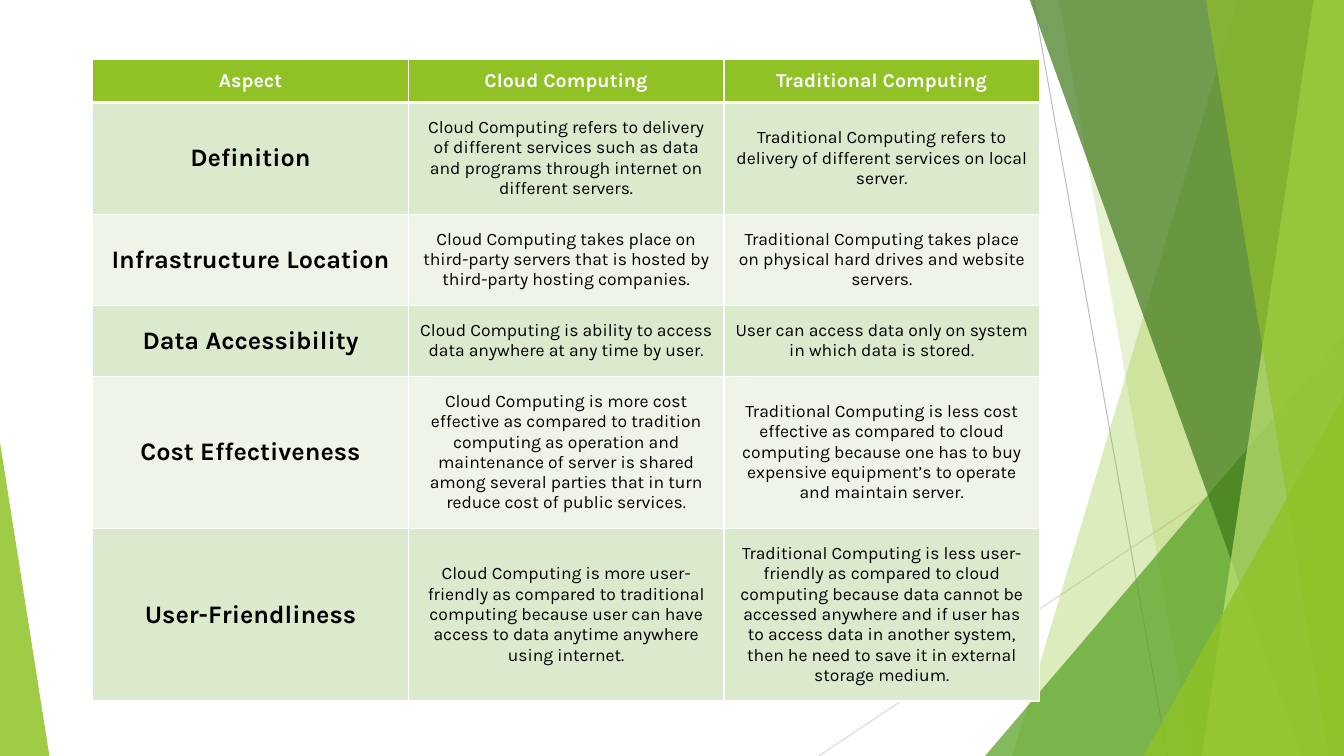
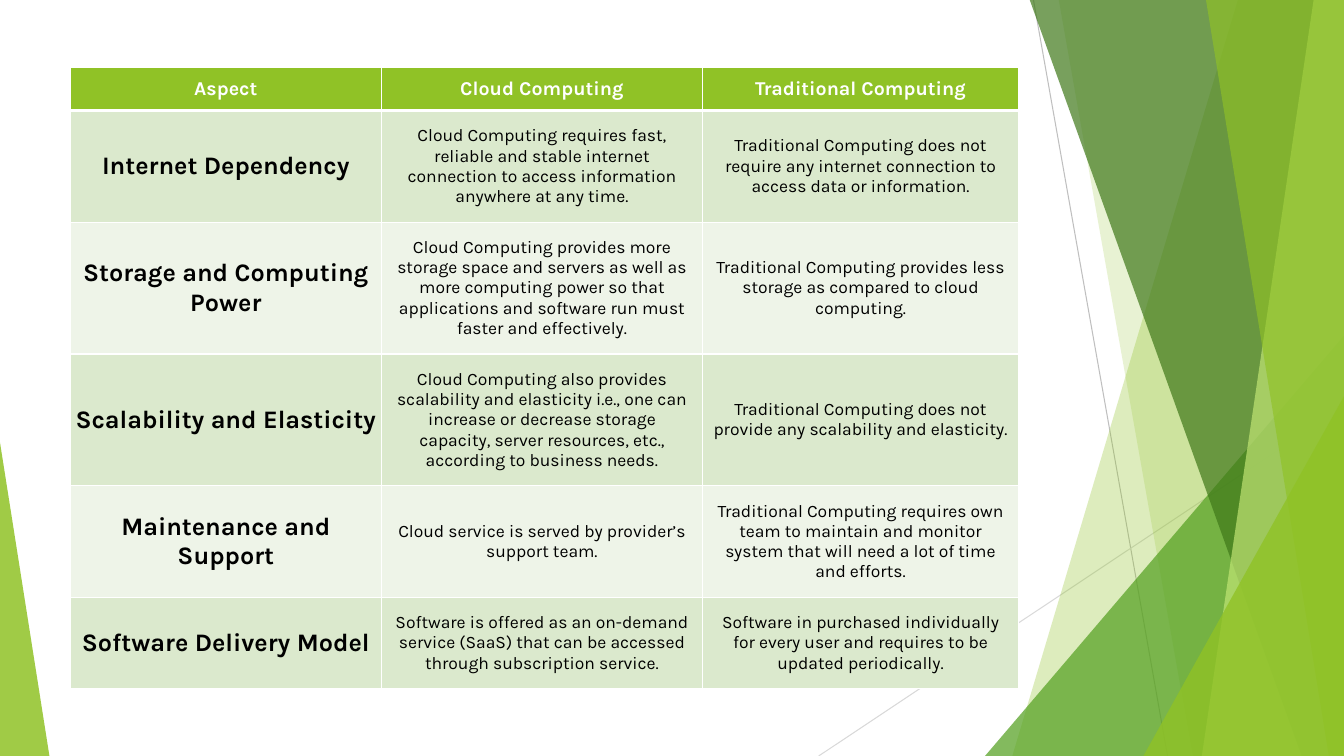
"""Build two slides comparing cloud computing with traditional computing."""
from dataclasses import dataclass

from lxml import etree
from pptx import Presentation
from pptx.dml.color import RGBColor
from pptx.enum.shapes import MSO_CONNECTOR, MSO_SHAPE
from pptx.enum.text import MSO_ANCHOR, PP_ALIGN
from pptx.oxml.ns import qn
from pptx.util import Inches, Pt

STRAIGHT = MSO_CONNECTOR.STRAIGHT
TRIANGLE = MSO_SHAPE.ISOSCELES_TRIANGLE
MIDDLE = MSO_ANCHOR.MIDDLE
CENTER = PP_ALIGN.CENTER


@dataclass(frozen=True)
class Theme:
    font: str = "Karla"
    white: str = "FFFFFF"
    ink: str = "000000"
    lime: str = "90C226"
    leaf: str = "54A021"
    forest: str = "3F7819"
    pale_lime: str = "C0E474"
    row_dark: str = "DBE9CD"
    row_light: str = "EEF4E8"
    line_dark: str = "BFBFBF"
    line_light: str = "D9D9D9"
    header_size: float = 14
    aspect_size: float = 18
    body_size: float = 12.5
    hairline: float = 0.75
    border: float = 1
    header_rule: float = 3


THEME = Theme()
WIDTH, HEIGHT = 13.33, 7.5
HEADER_HEIGHT, LINE_HEIGHT, ROW_PADDING = 0.41, 0.2, 0.3

HEADERS = ("Aspect", "Cloud Computing", "Traditional Computing")

TABLES = [
    {
        "left": 0.92, "top": 0.59, "columns": (3.13, 3.13, 3.13),
        "lines": (4, 3, 2, 6, 7),
        "rows": [
            ("Definition",
             "Cloud Computing refers to delivery of different services such as data and "
             "programs through internet on different servers.",
             "Traditional Computing refers to delivery of different services on local server."),
            ("Infrastructure Location",
             "Cloud Computing takes place on third-party servers that is hosted by "
             "third-party hosting companies.",
             "Traditional Computing takes place on physical hard drives and website servers."),
            ("Data Accessibility",
             "Cloud Computing is ability to access data anywhere at any time by user.",
             "User can access data only on system in which data is stored."),
            ("Cost Effectiveness",
             "Cloud Computing is more cost effective as compared to tradition computing as "
             "operation and maintenance of server is shared among several parties that in "
             "turn reduce cost of public services.",
             "Traditional Computing is less cost effective as compared to cloud computing "
             "because one has to buy expensive equipment’s to operate and maintain server."),
            ("User-Friendliness",
             "Cloud Computing is more user-friendly as compared to traditional computing "
             "because user can have access to data anytime anywhere using internet.",
             "Traditional Computing is less user-friendly as compared to cloud computing "
             "because data cannot be accessed anywhere and if user has to access data in "
             "another system, then he need to save it in external storage medium."),
        ],
    },
    {
        "left": 0.7, "top": 0.67, "columns": (3.08, 3.19, 3.13),
        "lines": (4, 5, 5, 4, 3),
        "rows": [
            ("Internet Dependency",
             "Cloud Computing requires fast, reliable and stable internet connection to "
             "access information anywhere at any time.",
             "Traditional Computing does not require any internet connection to access data "
             "or information."),
            ("Storage and Computing Power",
             "Cloud Computing provides more storage space and servers as well as more "
             "computing power so that applications and software run must faster and "
             "effectively.",
             "Traditional Computing provides less storage as compared to cloud computing."),
            ("Scalability and Elasticity",
             "Cloud Computing also provides scalability and elasticity i.e., one can "
             "increase or decrease storage capacity, server resources, etc., according to "
             "business needs.",
             "Traditional Computing does not provide any scalability and elasticity."),
            ("Maintenance and Support",
             "Cloud service is served by provider’s support team.",
             "Traditional Computing requires own team to maintain and monitor system that "
             "will need a lot of time and efforts."),
            ("Software Delivery Model",
             "Software is offered as an on-demand service (SaaS) that can be accessed "
             "through subscription service.",
             "Software in purchased individually for every user and requires to be updated "
             "periodically."),
        ],
    },
]

RAYS = [
    ((10.25, 0), (11.58, HEIGHT), THEME.line_dark),
    ((WIDTH, 4.03), (8.12, HEIGHT), THEME.line_light),
]

FACETS = [
    ("band", (12.28, 10.04), THEME.lime, 30),
    ("band", (10.5, 11.83), THEME.lime, 20),
    ("triangle", (9.77, 3.33, 3.56, 1), THEME.leaf, 72),
    ("band", (10.21, 12.91), THEME.forest, 70),
    ("band", (13.03, 11.92), THEME.pale_lime, 70),
    ("band", (11.96, 13.18), THEME.lime, 65),
    ("triangle", (11.34, 3.93, 1.99, 1), THEME.lime, 80),
    ("triangle", (0, 4.39, 0.49, 0), THEME.lime, 85),
]


def color(value):
    return RGBColor.from_string(value)


def add_ray(page, start, end, line_color):
    ray = page.shapes.add_connector(STRAIGHT, *map(Inches, start + end))
    ray.line.color.rgb = color(line_color)
    ray.line.width = Pt(THEME.hairline)
    etree.SubElement(ray._element.spPr, qn("a:effectLst"))


def add_band(page, top_x, bottom_x):
    corners = [(WIDTH, -0.01), (WIDTH, HEIGHT), (bottom_x, HEIGHT)]
    outline = page.shapes.build_freeform(Inches(top_x), Inches(-0.01))
    outline.add_line_segments([(Inches(x), Inches(y)) for x, y in corners], close=True)
    return outline.convert_to_shape()


def add_triangle(page, left, top, width, apex):
    box = map(Inches, (left, top, width, HEIGHT - top))
    triangle = page.shapes.add_shape(TRIANGLE, *box)
    triangle.adjustments[0] = apex
    return triangle


def add_backdrop(page):
    for ray in RAYS:
        add_ray(page, *ray)
    makers = {"band": add_band, "triangle": add_triangle}
    for kind, geometry, fill_color, opacity in FACETS:
        facet = makers[kind](page, *geometry)
        facet.shadow.inherit = False
        facet.line.fill.background()
        facet.fill.solid()
        facet.fill.fore_color.rgb = color(fill_color)
        tint = facet._element.spPr.find(".//" + qn("a:srgbClr"))
        etree.SubElement(tint, qn("a:alpha"), val=str(opacity * 1000))


def set_borders(cell, top, bottom):
    properties = cell._tc.get_or_add_tcPr()
    sides = {"L": THEME.border, "R": THEME.border, "T": top, "B": bottom}
    for side, width in sides.items():
        line = etree.SubElement(properties, qn("a:ln" + side), w=str(Pt(width)))
        fill = etree.SubElement(line, qn("a:solidFill"))
        etree.SubElement(fill, qn("a:srgbClr"), val=THEME.white)


def fill_cell(cell, text, row, column):
    is_header, is_aspect = row == 0, column == 0
    set_borders(cell,
                THEME.header_rule if row == 1 else THEME.border,
                THEME.header_rule if is_header else THEME.border)
    if is_header:
        fill_color, size = THEME.lime, THEME.header_size
    else:
        fill_color = THEME.row_dark if row % 2 else THEME.row_light
        size = THEME.aspect_size if is_aspect else THEME.body_size
    cell.fill.solid()
    cell.fill.fore_color.rgb = color(fill_color)
    cell.vertical_anchor = MIDDLE
    cell.margin_left = cell.margin_right = Inches(0.04 if is_aspect else 0.1)
    cell.margin_top = cell.margin_bottom = Inches(0.1 if is_header or is_aspect else 0.15)
    para = cell.text_frame.paragraphs[0]
    para.text = text
    para.alignment = CENTER
    font = para.runs[0].font
    font.name = THEME.font
    font.size = Pt(size)
    font.bold = is_header or is_aspect
    font.color.rgb = color(THEME.white if is_header else THEME.ink)


def add_comparison(page, content):
    rows = [HEADERS] + content["rows"]
    heights = [HEADER_HEIGHT] + [ROW_PADDING + LINE_HEIGHT * count for count in content["lines"]]
    box = (content["left"], content["top"], sum(content["columns"]), sum(heights))
    table = page.shapes.add_table(len(rows), len(HEADERS), *map(Inches, box)).table
    for column, width in zip(table.columns, content["columns"]):
        column.width = Inches(width)
    for row, height in zip(table.rows, heights):
        row.height = Inches(height)
    for row_index, texts in enumerate(rows):
        for column_index, text in enumerate(texts):
            fill_cell(table.cell(row_index, column_index), text, row_index, column_index)


def main():
    deck = Presentation()
    deck.slide_width, deck.slide_height = Inches(WIDTH), Inches(HEIGHT)
    for content in TABLES:
        page = deck.slides.add_slide(deck.slide_layouts[6])
        add_backdrop(page)
        add_comparison(page, content)
    deck.save("out.pptx")


if __name__ == "__main__":
    main()
